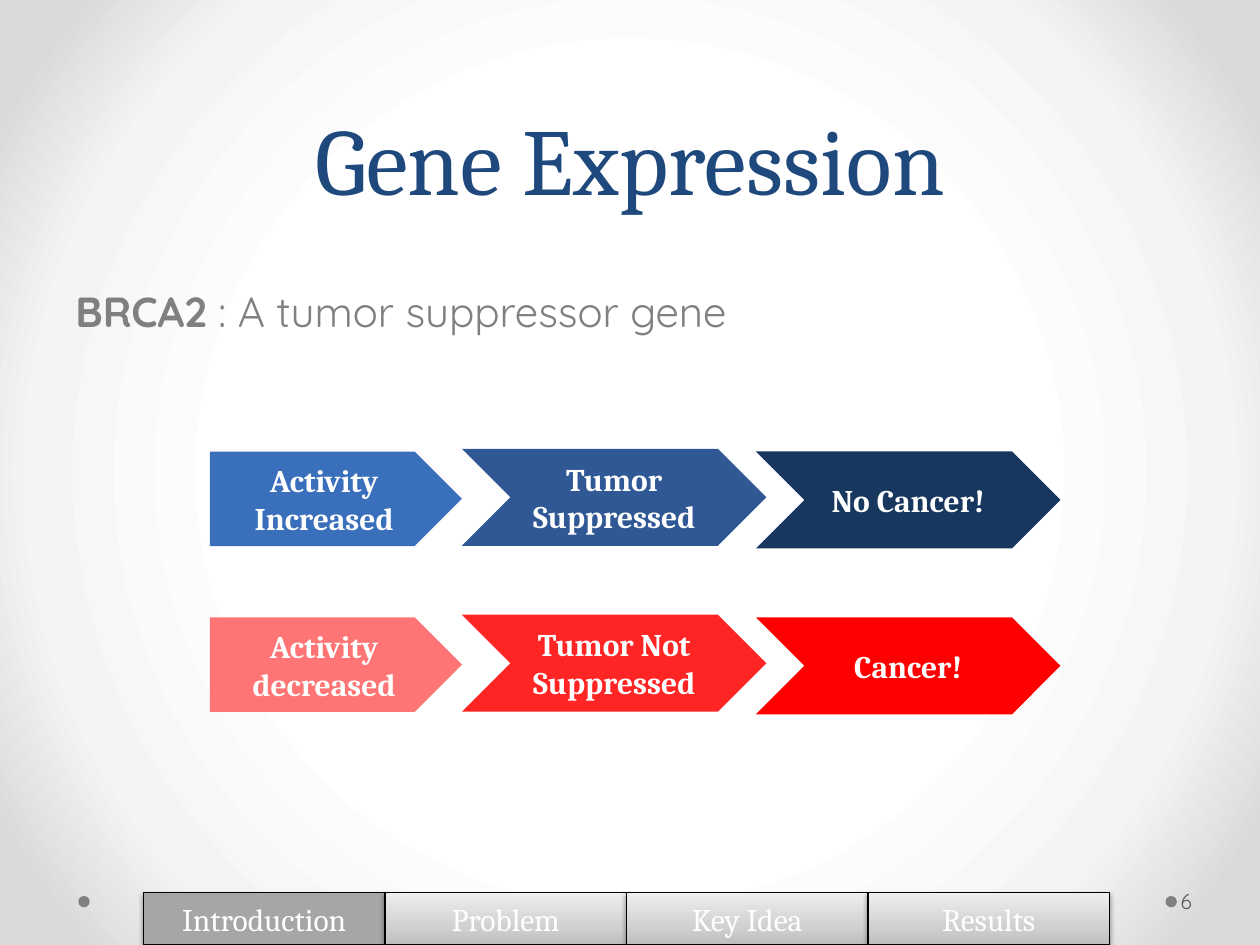
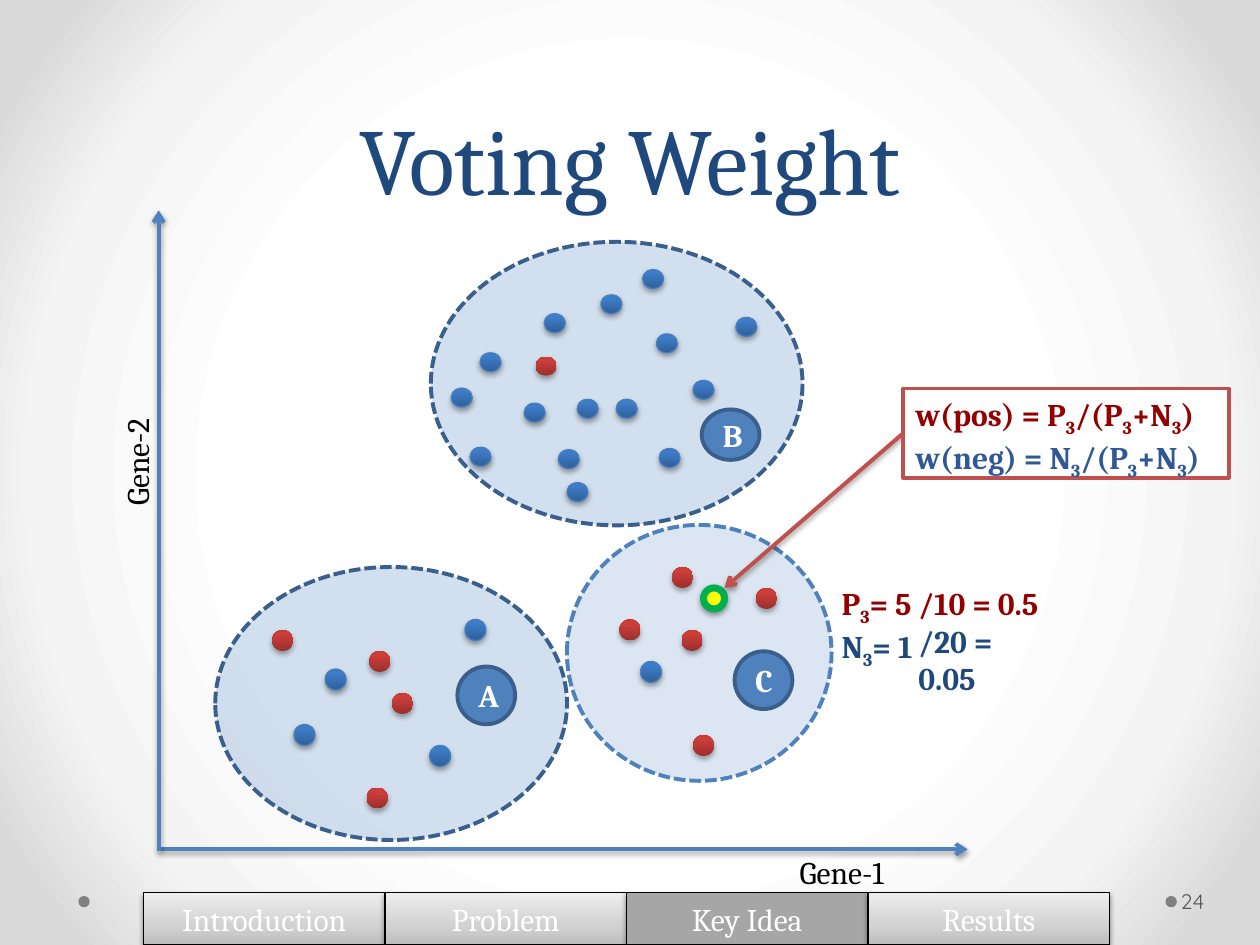
"""Build two slides about gene expression and cluster voting."""
from dataclasses import dataclass
from typing import Any, Optional

from lxml import etree
from pptx import Presentation
from pptx.dml.color import RGBColor
from pptx.enum.dml import MSO_LINE
from pptx.enum.shapes import MSO_CONNECTOR, MSO_SHAPE
from pptx.enum.text import MSO_ANCHOR, PP_ALIGN
from pptx.oxml.ns import qn
from pptx.slide import Slide
from pptx.util import Pt

OVAL, RECT = MSO_SHAPE.OVAL, MSO_SHAPE.RECTANGLE
PLATE, CHEVRON = MSO_SHAPE.PENTAGON, MSO_SHAPE.CHEVRON
STRAIGHT, DASH = MSO_CONNECTOR.STRAIGHT, MSO_LINE.SQUARE_DOT
TOP, MIDDLE, BOTTOM = MSO_ANCHOR.TOP, MSO_ANCHOR.MIDDLE, MSO_ANCHOR.BOTTOM
LEFT, CENTER = PP_ALIGN.LEFT, PP_ALIGN.CENTER

SERIF, SANS = "Cambria", "Quicksand"
WHITE, BLACK, GRAY, PAGE_GRAY = "FFFFFF", "000000", "808080", "595959"
NAVY, BLUE, EDGE, MID_BLUE = "1F497D", "4F81BD", "3A5F8C", "2F5895"
CRIMSON, DARK_RED, TAB_ON = "C0504D", "920000", "A6A6A6"

Box = tuple[float, float, float, float]
Point = tuple[float, float]
Stops = tuple[tuple[int, str], ...]

BACKDROP: Stops = ((50, WHITE), (76, "F4F4F4"), (92, "DADADA"))
TAB_OFF: Stops = ((0, "BDBDBD"), (35, "D1D1D1"), (100, "EEEEEE"))
RED_BALL: Stops = ((0, "9C2F2D"), (80, "CB3E3A"), (100, "CE3B37"))
BLUE_BALL: Stops = ((0, "2F5F99"), (80, "3D7CC7"), (100, "3A7CCB"))
TABS = ("Introduction", "Problem", "Key Idea", "Results")


@dataclass(frozen=True)
class Shadow:
    """A soft shadow that falls straight down."""
    alpha: int
    dist: float


@dataclass(frozen=True)
class Line:
    """An outline or connector stroke."""
    color: str
    width: float
    dashed: bool = False


@dataclass(frozen=True)
class Font:
    """Character formatting."""
    color: str
    size: float = 18
    bold: bool = False
    name: str = SERIF


@dataclass(frozen=True)
class Step:
    """One arrow-shaped step of a process."""
    kind: Any
    box: Box
    text: str
    fill: str


@dataclass(frozen=True)
class Cluster:
    """A dashed ellipse with a lettered badge and sample dots."""
    name: str
    box: Box
    fill: str
    alpha: Optional[int]
    edge: str
    badge: Box
    dot_size: Point
    red: tuple[Point, ...]
    blue: tuple[Point, ...]


SOFT, BALL_SHADOW = Shadow(38, 1.6), Shadow(35, 1.8)
BOLD_WHITE = Font(WHITE, bold=True)

STEPS = (
    (Step(PLATE, (120, 258, 144, 54), "Activity\nIncreased", "3A6FBC"),
     Step(CHEVRON, (264, 256.5, 174, 55.4), "Tumor\nSuppressed", MID_BLUE),
     Step(CHEVRON, (432, 258, 174, 55.4), "No Cancer!", "17375E")),
    (Step(PLATE, (120, 352.8, 144, 54), "Activity\ndecreased", "FF7575"),
     Step(CHEVRON, (264, 351.3, 174, 55.4), "Tumor Not\nSuppressed", "FF2525"),
     Step(CHEVRON, (432, 352.8, 174, 55.4), "Cancer!", "FF0000")),
)

CLUSTER_A = Cluster(
    "A", (123, 324, 201, 156), BLUE, 25, EDGE, (261.4, 380.9, 33, 33), (12, 12),
    ((155.5, 360), (211, 372), (224, 396), (209.5, 450)),
    ((168, 414), (245.5, 426), (265.7, 354), (185.8, 382.3)))
CLUSTER_B = Cluster(
    "B", (246.2, 138.2, 212.4, 162), BLUE, 25, EDGE, (401, 234, 33, 28.8), (12, 10.8),
    ((306, 203.8),),
    ((257.8, 221.8), (375.1, 190.8), (376.6, 256.3), (352.1, 228.2), (396, 217.4),
     (299.5, 230.4), (274.3, 201.6), (324, 275.8), (343.4, 168.5), (319, 257),
     (311, 179.3), (420.5, 181.4), (268.6, 255.6), (367.2, 154.1), (329.8, 228.2)))
CLUSTER_C = Cluster(
    "C", (324, 300, 151.2, 146.2), "DCE6F2", None, BLUE, (419.8, 372.2, 33, 33), (12, 12),
    ((354, 354), (432, 336), (389.5, 360), (384, 324), (396, 420)),
    ((366, 378),))


def rgb(value: str) -> RGBColor:
    """Turn a hex string into a colour."""
    return RGBColor.from_string(value)


def add_gradient(parent: Any, stops: Stops, shade: str) -> None:
    """Replace the solid fill of an element by a gradient."""
    marks = "".join(f'<a:gs pos="{pos * 1000}"><a:srgbClr val="{color}"/></a:gs>'
                    for pos, color in stops)
    grad = etree.fromstring(
        '<a:gradFill xmlns:a="http://schemas.openxmlformats.org/drawingml/2006/main" '
        f'rotWithShape="1"><a:gsLst>{marks}</a:gsLst>{shade}</a:gradFill>')
    parent.replace(parent.find(qn("a:solidFill")), grad)


def add_alpha(color: Any, percent: int) -> None:
    """Make a colour element partly transparent."""
    etree.SubElement(color, qn("a:alpha"), val=str(percent * 1000))


def add_shadow(effects: Any, shadow: Shadow) -> None:
    """Put an outer shadow into an effect list."""
    outer = etree.SubElement(effects, qn("a:outerShdw"), blurRad=str(Pt(3.1)),
                             dist=str(Pt(shadow.dist)), dir="5400000", rotWithShape="0")
    add_alpha(etree.SubElement(outer, qn("a:srgbClr"), val=BLACK), shadow.alpha)


def style_line(target: Any, line: Line) -> None:
    """Apply colour, width and dash to a line format."""
    target.color.rgb = rgb(line.color)
    target.width = Pt(line.width)
    if line.dashed:
        target.dash_style = DASH


def style_run(r: Any, font: Font) -> None:
    """Apply a font to a run."""
    r.font.name, r.font.size, r.font.bold = font.name, Pt(font.size), font.bold
    r.font.color.rgb = rgb(font.color)


def set_text(sp: Any, text: str, font: Font, align: Any = CENTER, anchor: Any = MIDDLE) -> None:
    """Fill a shape with uniformly formatted text."""
    tf = sp.text_frame
    tf.word_wrap, tf.vertical_anchor = True, anchor
    tf.text = text
    for p in tf.paragraphs:
        p.alignment = align
        for r in p.runs:
            style_run(r, font)


def set_formulas(sp: Any, rows: tuple[tuple[str, str], ...]) -> None:
    """Write one coloured line per row; every second piece between bars is a subscript."""
    tf = sp.text_frame
    tf.word_wrap, tf.vertical_anchor = True, TOP
    for i, (text, color) in enumerate(rows):
        p = tf.add_paragraph() if i else tf.paragraphs[0]
        p.alignment = LEFT
        for j, piece in enumerate(text.split("|")):
            r = p.add_run()
            r.text = piece
            style_run(r, Font(color, bold=True))
            if j % 2:
                r._r.get_or_add_rPr().set("baseline", "-25000")


def add_box(shapes: Any, box: Box) -> Any:
    """Add a text box."""
    return shapes.add_textbox(*map(Pt, box))


def add_shape(shapes: Any, kind: Any, box: Box, fill: str | Stops, line: Optional[Line] = None,
              shadow: Optional[Shadow] = None, alpha: Optional[int] = None) -> Any:
    """Add a preset shape with its fill, outline and shadow."""
    sp = shapes.add_shape(kind, *map(Pt, box))
    sp.fill.solid()
    props = sp.element.spPr
    if isinstance(fill, str):
        sp.fill.fore_color.rgb = rgb(fill)
        if alpha is not None:
            add_alpha(props.find(qn("a:solidFill"))[0], alpha)
    else:
        add_gradient(props, fill, '<a:lin ang="16200000" scaled="0"/>')
    if line:
        style_line(sp.line, line)
    else:
        sp.line.fill.background()
    sp.shadow.inherit = False
    if shadow:
        add_shadow(props.find(qn("a:effectLst")), shadow)
    return sp


def add_arrow(shapes: Any, start: Point, end: Point, color: str) -> None:
    """Add a straight arrow with a soft shadow."""
    cx = shapes.add_connector(STRAIGHT, *map(Pt, start + end))
    style_line(cx.line, Line(color, 2.25))
    props = cx.element.spPr
    etree.SubElement(props.find(qn("a:ln")), qn("a:tailEnd"), type="arrow")
    add_shadow(etree.SubElement(props, qn("a:effectLst")), SOFT)


def add_cluster(s: Slide, cluster: Cluster) -> None:
    """Draw a cluster as one group."""
    shapes = s.shapes.add_group_shape().shapes
    add_shape(shapes, OVAL, cluster.box, cluster.fill, Line(cluster.edge, 2.25, True),
              alpha=cluster.alpha)
    for dot in cluster.red:
        add_shape(shapes, OVAL, dot + cluster.dot_size, RED_BALL, shadow=BALL_SHADOW)
    for dot in cluster.blue:
        add_shape(shapes, OVAL, dot + cluster.dot_size, BLUE_BALL, Line("4B7EBC", 0.75),
                  BALL_SHADOW)
    badge = add_shape(shapes, OVAL, cluster.badge, BLUE, Line(EDGE, 2.25))
    set_text(badge, cluster.name, BOLD_WHITE)


def add_slide(prs: Any, title: str) -> Slide:
    """Add a slide with backdrop, footer dots and title."""
    s = prs.slides.add_slide(prs.slide_layouts[6])
    s.background.fill.solid()
    add_gradient(s.element.find(".//" + qn("p:bgPr")), BACKDROP,
                 '<a:path path="circle"><a:fillToRect l="50000" t="50000" '
                 'r="50000" b="50000"/></a:path>')
    for x in (666, 44.75):
        add_shape(s.shapes, OVAL, (x, 512, 6.5, 6.5), GRAY)
    sp = add_box(s.shapes, (36, 0, 648, 126))
    set_text(sp, title, Font(NAVY, 54), anchor=BOTTOM)
    sp.text_frame.paragraphs[0].line_spacing = Pt(58)
    return s


def add_footer(s: Slide, active: str, number: int) -> None:
    """Add the navigation tabs and the page number."""
    for i, tab in enumerate(TABS):
        sp = add_shape(s.shapes, CHEVRON, (82 + 138 * i, 510, 138, 30),
                       TAB_ON if tab == active else TAB_OFF, Line(BLACK, 0.75), SOFT)
        sp.adjustments[0] = 0
        set_text(sp, tab, Font(WHITE))
    sp = add_box(s.shapes, (672.5, 500.5, 44, 29))
    set_text(sp, str(number), Font(PAGE_GRAY, 12, name=SANS), LEFT)
    tf = sp.text_frame
    tf.margin_left, tf.margin_right = Pt(2.2), Pt(3.6)


def build_expression(prs: Any) -> None:
    """Build the slide on the tumor suppressor gene."""
    s = add_slide(prs, "Gene Expression")
    tf = add_box(s.shapes, (36, 126, 648, 356.4)).text_frame
    tf.word_wrap, tf.margin_top = True, Pt(37)
    for text, bold in (("BRCA2", True), (" : A tumor suppressor gene", False)):
        r = tf.paragraphs[0].add_run()
        r.text = text
        style_run(r, Font(GRAY, 24, bold, SANS))
    for row in STEPS:
        for step in row:
            set_text(add_shape(s.shapes, step.kind, step.box, step.fill), step.text, BOLD_WHITE)
    add_footer(s, "Introduction", 6)


def build_voting(prs: Any) -> None:
    """Build the slide on the weight of each vote."""
    s = add_slide(prs, "Voting Weight")
    add_cluster(s, CLUSTER_A)
    add_cluster(s, CLUSTER_C)
    axes = s.shapes.add_group_shape().shapes
    add_arrow(axes, (90.7, 485.3), (553, 485.3), BLUE)
    add_arrow(axes, (90.7, 486), (90.7, 120.2), BLUE)
    set_formulas(add_box(s.shapes, (473.8, 330, 63.4, 51)),
                 (("P|3|= 5", DARK_RED), ("N|3|= 1", NAVY)))
    add_cluster(s, CLUSTER_B)
    set_formulas(add_box(s.shapes, (517.7, 330, 87.8, 51)),
                 (("/10 = 0.5", DARK_RED), ("/20 = 0.05", NAVY)))
    add_shape(s.shapes, OVAL, (402, 336, 12, 12), "FFFF00", Line("00B050", 4), SOFT)
    add_arrow(s.shapes, (516.2, 247.5), (414, 336), CRIMSON)
    sp = add_shape(s.shapes, RECT, (516.2, 222, 186, 51), WHITE, Line(CRIMSON, 2.25))
    set_formulas(sp, (("w(pos) = P|3|/(P|3|+N|3|)", DARK_RED),
                      ("w(neg) = N|3|/(P|3|+N|3|)", MID_BLUE)))
    for text, x, y, angle in (("Gene-1", 427, 486, 0), ("Gene-2", 24, 252, 270)):
        sp = add_box(s.shapes, (x, y, 108, 24))
        sp.rotation = angle
        set_text(sp, text, Font(BLACK))
    add_footer(s, "Key Idea", 24)


def main() -> None:
    """Build and save the presentation."""
    prs = Presentation()
    prs.slide_width, prs.slide_height = Pt(720), Pt(540)
    build_expression(prs)
    build_voting(prs)
    prs.save("out.pptx")


main()
